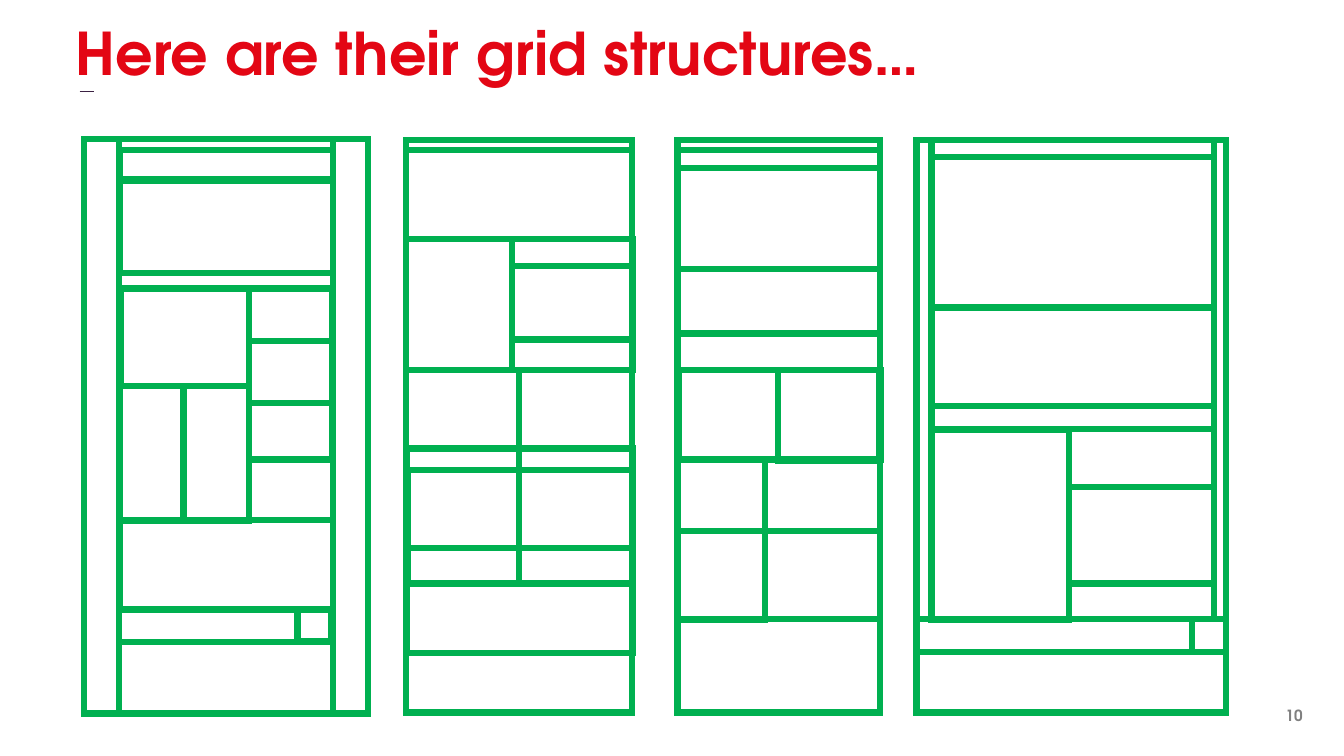
from lxml import etree
from pptx import Presentation
from pptx.dml.color import RGBColor
from pptx.enum.shapes import MSO_CONNECTOR, MSO_SHAPE
from pptx.enum.text import MSO_ANCHOR, PP_ALIGN
from pptx.oxml.ns import qn
from pptx.util import Inches, Pt

RECT = MSO_SHAPE.RECTANGLE
STRAIGHT = MSO_CONNECTOR.STRAIGHT
TOP, MIDDLE = MSO_ANCHOR.TOP, MSO_ANCHOR.MIDDLE
LEFT, RIGHT = PP_ALIGN.LEFT, PP_ALIGN.RIGHT

RED = RGBColor(0xE3, 0x06, 0x14)
GREEN = RGBColor(0x00, 0xB0, 0x50)
GREY = RGBColor(0x80, 0x80, 0x80)
PLUM = RGBColor(0x3B, 0x21, 0x43)

PAGE_GRIDS = [
    [
        (0.83, 1.38, 2.82, 5.7),
        (0.83, 1.38, 0.35, 5.7),
        (3.3, 1.38, 0.35, 5.7),
        (1.19, 1.49, 2.11, 0.3),
        (1.19, 1.78, 2.11, 0.93),
        (1.19, 2.86, 2.11, 2.3),
        (1.18, 2.87, 1.29, 2.3),
        (2.47, 2.87, 0.82, 1.13),
        (1.2, 2.87, 1.27, 0.96),
        (1.18, 3.83, 0.64, 1.33),
        (1.19, 5.16, 2.11, 0.88),
        (1.18, 6.05, 2.11, 0.32),
        (2.95, 6.04, 0.34, 0.32),
        (2.47, 3.38, 0.83, 1.18),
    ],
    [
        (4.03, 1.39, 2.24, 5.68),
        (4.03, 1.49, 2.24, 0.88),
        (4.03, 2.37, 2.25, 1.3),
        (4.03, 3.67, 2.24, 0.99),
        (4.04, 4.66, 2.24, 1.13),
        (4.04, 5.79, 2.24, 0.69),
        (5.08, 2.37, 1.2, 1.3),
        (5.08, 2.64, 1.2, 0.73),
        (4.03, 3.67, 1.12, 0.99),
        (4.04, 4.45, 2.24, 0.99),
        (4.04, 4.66, 1.11, 1.13),
    ],
    [
        (6.72, 1.39, 2.01, 5.68),
        (6.72, 1.49, 2.01, 0.18),
        (6.72, 2.67, 2.01, 0.64),
        (6.73, 3.67, 2.01, 0.89),
        (6.72, 5.27, 2.01, 0.87),
        (7.72, 3.67, 1, 0.9),
        (6.72, 4.56, 0.87, 1.59),
    ],
    [
        (9.09, 1.39, 3.07, 5.68),
        (9.09, 6.14, 3.07, 0.33),
        (11.82, 6.14, 0.34, 0.33),
        (9.24, 1.39, 2.8, 4.75),
        (9.24, 1.56, 2.8, 1.49),
        (9.24, 4.03, 2.8, 0.23),
        (9.24, 4.26, 1.36, 1.89),
        (10.6, 4.83, 1.44, 0.96),
    ],
]


class SlideBuilder:
    font = "TeX Gyre Adventor"
    grid_color = GREEN
    grid_weight = Pt(4.5)

    def __init__(self, slide):
        self.slide = slide

    def text(self, box, text, size, color, align=LEFT, anchor=TOP, spacing=1.0):
        sp = self.slide.shapes.add_textbox(*map(Inches, box))
        tf = sp.text_frame
        tf.word_wrap = True
        tf.vertical_anchor = anchor
        tf.margin_left = tf.margin_right = tf.margin_top = tf.margin_bottom = 0
        p = tf.paragraphs[0]
        p.text = text
        p.alignment = align
        p.line_spacing = spacing
        p.font.name = self.font
        p.font.size = Pt(size)
        p.font.bold = True
        p.font.color.rgb = color

    def rule(self, x1, y1, x2, y2, color, weight):
        ends = map(Inches, (x1, y1, x2, y2))
        line = self.slide.shapes.add_connector(STRAIGHT, *ends)
        line.line.color.rgb = color
        line.line.width = Pt(weight)
        etree.SubElement(line._element.spPr, qn("a:effectLst"))

    def cell(self, box):
        sp = self.slide.shapes.add_shape(RECT, *map(Inches, box))
        sp.shadow.inherit = False
        sp.fill.background()
        sp.line.color.rgb = self.grid_color
        sp.line.width = self.grid_weight
        ln = sp._element.spPr.find(qn("a:ln"))
        etree.SubElement(ln, qn("a:miter"), lim="800000")


def main():
    prs = Presentation()
    prs.slide_width, prs.slide_height = Inches(13.33), Inches(7.5)
    s = SlideBuilder(prs.slides.add_slide(prs.slide_layouts[6]))
    s.rule(0.79, 0.91, 0.93, 0.91, PLUM, 0.75)
    s.text((0.75, 0.25, 11.04, 0.84), "Here are their grid structures…", 42, RED, spacing=0.9)
    s.text((9.92, 6.95, 3, 0.3), "10", 11, GREY, align=RIGHT, anchor=MIDDLE)
    for grid in PAGE_GRIDS:
        for box in grid:
            s.cell(box)
    prs.save("out.pptx")


if __name__ == "__main__":
    main()
